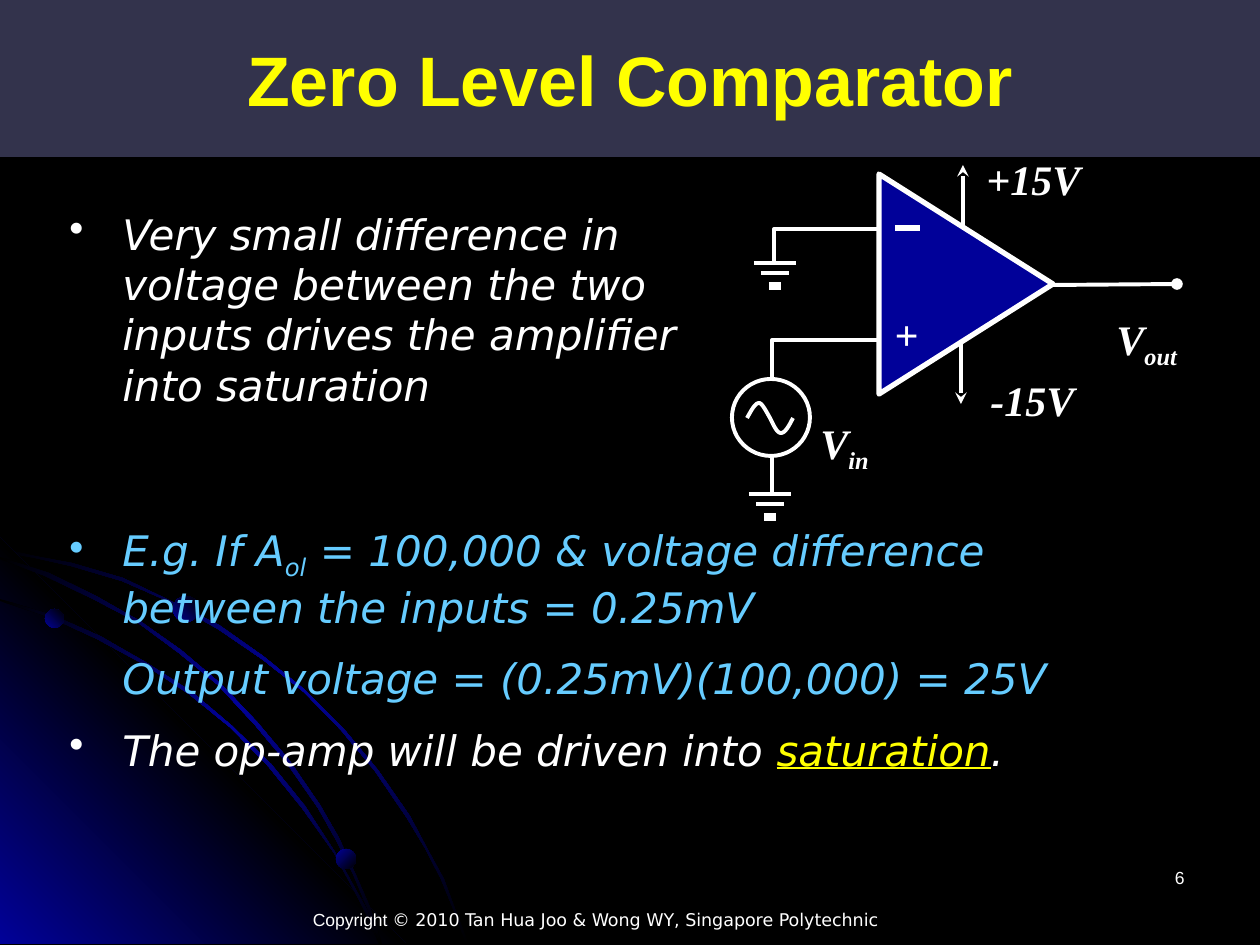
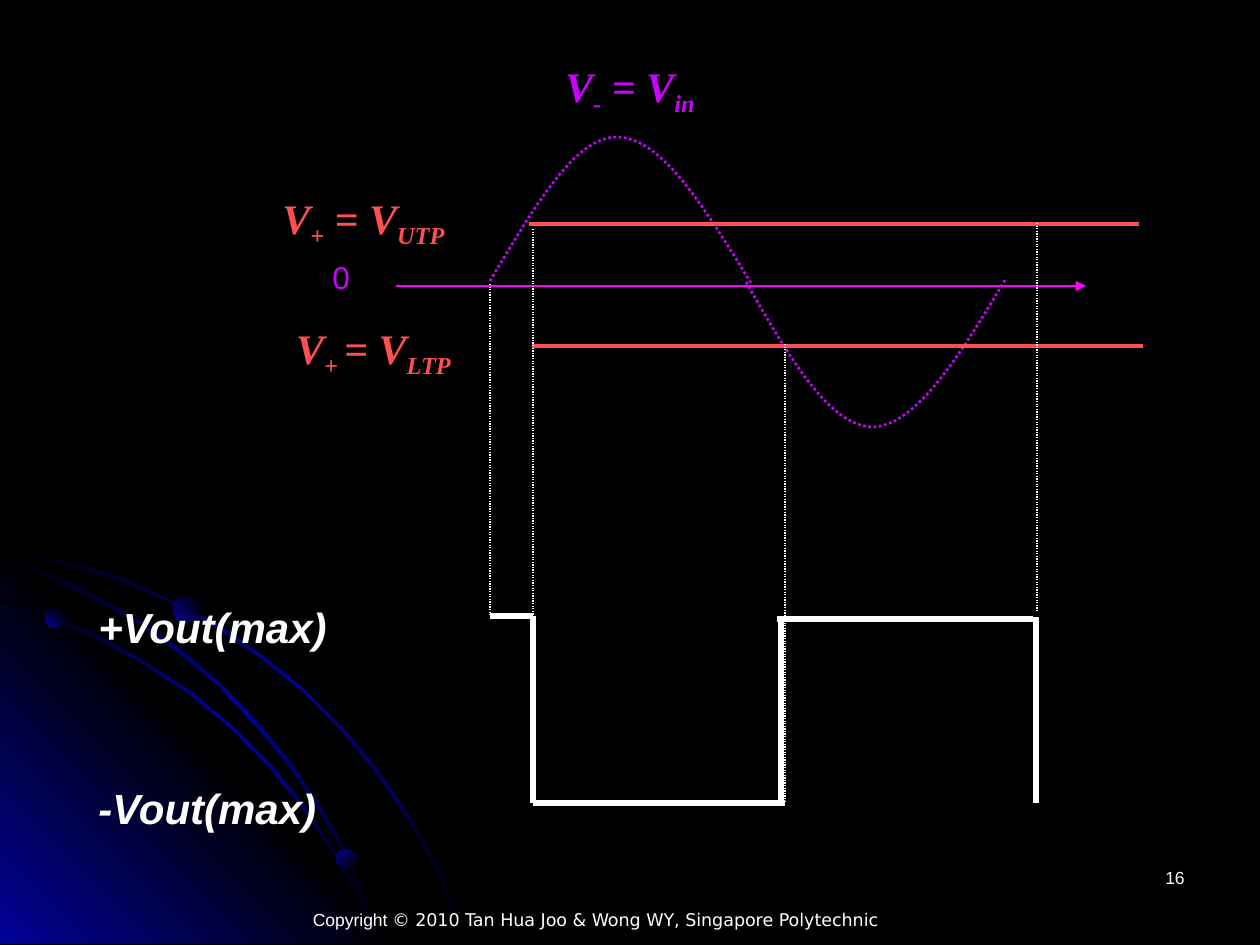
from dataclasses import dataclass, replace
from typing import Optional

from lxml.etree import SubElement
from pptx import Presentation
from pptx.dml.color import RGBColor as RGB
from pptx.enum.dml import MSO_LINE
from pptx.enum.shapes import MSO_CONNECTOR, MSO_SHAPE
from pptx.enum.text import MSO_ANCHOR, MSO_AUTO_SIZE, PP_ALIGN as ALIGN
from pptx.oxml.ns import qn
from pptx.util import Emu, Pt

EMU_PER_PX = 914400 / 126
COLORS = {
    "black": "000000", "white": "FFFFFF", "navy": "010199", "band": "33334C",
    "yellow": "FFFF00", "sky": "66CCFF", "violet": "CC00FF",
    "magenta": "FF00FF", "coral": "FF5050",
}
BULLET_INDENT = 53


@dataclass(frozen=True)
class Style:
    font: str
    size: int
    color: str = "white"
    bold: bool = False
    italic: bool = False
    underline: bool = False
    sub: bool = False


@dataclass(frozen=True)
class Run:
    text: str
    style: Style


@dataclass(frozen=True)
class Para:
    runs: tuple[Run, ...]
    align: ALIGN = ALIGN.LEFT
    bullet: Optional[str] = None
    indented: bool = False
    before: int = 0


@dataclass(frozen=True)
class Label:
    box: tuple[int, int, int, int]
    paras: tuple[Para, ...]
    fill: Optional[str] = None


@dataclass(frozen=True)
class Line:
    start: tuple[int, int]
    end: tuple[int, int]
    color: str = "white"
    weight: float = 2.25
    dotted: bool = False
    tail: Optional[str] = None


@dataclass(frozen=True)
class Glow:
    angle: int
    stops: tuple[str, ...]


TITLE = Style("Arial", 40, "yellow", bold=True)
SMALL = Style("Arial", 10)
BODY = Style("DejaVu Sans", 24, italic=True)
SYMBOL = Style("Times New Roman", 24, bold=True, italic=True)
LEVEL = Style("Arial", 24, bold=True, italic=True)

STREAK = Glow(45, ("black", "navy", "black"))
CORNER = Glow(315, ("navy", "black", "navy"))
OUTER_ARC = [
    (72, 563), (35, 556), (0, 548), (0, 552), (35, 558), (71, 566), (122, 581), (170, 602),
    (218, 629), (262, 659), (304, 692), (341, 730), (375, 771), (407, 818), (425, 848),
    (441, 879), (454, 911), (466, 944), (469, 944), (456, 911), (444, 879), (427, 848),
    (410, 816), (378, 770), (343, 728), (305, 690), (263, 656), (219, 625), (171, 601), (123, 578),
]
CORNER_TRIANGLE = [(406, 944), (0, 944), (0, 538)]
INNER_ARC = [
    (359, 900), (370, 922), (379, 944), (382, 944), (373, 920), (360, 897), (335, 852),
    (305, 806), (271, 764), (232, 726), (192, 692), (147, 663), (100, 636), (52, 615),
    (0, 599), (0, 601), (49, 617), (97, 639), (145, 665), (189, 694), (231, 728),
    (268, 766), (302, 808), (334, 853),
]
MIDDLE_ARC = [
    (0, 557), (0, 559), (45, 576), (93, 599), (137, 622), (179, 653), (218, 685), (255, 725),
    (286, 762), (318, 808), (336, 840), (353, 874), (368, 910), (379, 944), (382, 944),
    (370, 907), (355, 873), (339, 838), (320, 805), (289, 760), (257, 722), (221, 684),
    (181, 650), (140, 621), (96, 596), (49, 573),
]


def px(value: float) -> Emu:
    return Emu(round(value * EMU_PER_PX))


def rgb(name: str) -> RGB:
    return RGB.from_string(COLORS[name])


def paint(s, fill: Optional[str] = None, line: Optional[str] = None, weight: float = 2.25) -> None:
    s.shadow.inherit = False
    if fill:
        s.fill.solid()
        s.fill.fore_color.rgb = rgb(fill)
    else:
        s.fill.background()
    if line:
        s.line.color.rgb = rgb(line)
        s.line.width = Pt(weight)
    else:
        s.line.fill.background()


def paint_glow(s, glow: Glow) -> None:
    paint(s)
    s.fill.gradient()
    s.fill.gradient_angle = 360 - glow.angle
    stops = s.element.spPr.find(".//" + qn("a:gsLst"))
    for old in list(stops):
        stops.remove(old)
    for i, name in enumerate(glow.stops):
        gs = SubElement(stops, qn("a:gs"), pos=str(100000 * i // (len(glow.stops) - 1)))
        SubElement(gs, qn("a:srgbClr"), val=COLORS[name])


def write(tf, paras: tuple[Para, ...]) -> None:
    tf.word_wrap = True
    tf.text = "\n".join(para.runs[0].text for para in paras)
    for p, para in zip(tf.paragraphs, paras):
        p.alignment = para.align
        p.space_before = Pt(para.before)
        if para.indented:
            pPr = p._p.get_or_add_pPr()
            pPr.set("marL", str(px(BULLET_INDENT)))
            pPr.set("indent", str(-px(BULLET_INDENT) if para.bullet else 0))
            if para.bullet:
                SubElement(pPr, qn("a:buChar"), char=para.bullet)
        for run in para.runs[1:]:
            p.add_run().text = run.text
        for r, run in zip(p.runs, para.runs):
            style = run.style
            r.font.name, r.font.size = style.font, Pt(style.size)
            r.font.bold, r.font.italic = style.bold, style.italic
            r.font.underline = style.underline
            r.font.color.rgb = rgb(style.color)
            if style.sub:
                r._r.get_or_add_rPr().set("baseline", "-25000")


def draw_label(slide, label: Label) -> None:
    s = slide.shapes.add_textbox(*map(px, label.box))
    if label.fill:
        s.fill.solid()
        s.fill.fore_color.rgb = rgb(label.fill)
    write(s.text_frame, label.paras)


def draw_line(slide, line: Line) -> None:
    s = slide.shapes.add_connector(MSO_CONNECTOR.STRAIGHT, *map(px, line.start + line.end))
    s.line.color.rgb = rgb(line.color)
    s.line.width = Pt(line.weight)
    if line.dotted:
        s.line.dash_style = MSO_LINE.ROUND_DOT
    if line.tail:
        SubElement(s.line._get_or_add_ln(), qn("a:tailEnd"), type=line.tail)
    SubElement(s.element.spPr, qn("a:effectLst"))


def draw_path(slide, points: list, close: bool = False):
    (x, y), *rest = [(px(x), px(y)) for x, y in points]
    builder = slide.shapes.build_freeform(x, y)
    builder.add_line_segments(rest, close=close)
    return builder.convert_to_shape()


def curve(points: list, steps: int = 24) -> list:
    path = [points[0]]
    for k in range(0, len(points) - 1, 3):
        for t in (i / steps for i in range(1, steps + 1)):
            weights = ((1 - t) ** 3, 3 * t * (1 - t) ** 2, 3 * t * t * (1 - t), t ** 3)
            path.append(tuple(sum(w * pt[axis] for w, pt in zip(weights, points[k:k + 4]))
                              for axis in (0, 1)))
    return path


def draw_shape(slide, kind: MSO_SHAPE, box: tuple[int, int, int, int]):
    return slide.shapes.add_shape(kind, *map(px, box))


def symbol(box, name: str, sub: str = "", fill: Optional[str] = "black") -> Label:
    runs = (Run(name, SYMBOL),) + ((Run(sub, replace(SYMBOL, sub=True)),) if sub else ())
    return Label(box, (Para(runs),), fill)


def equation(box, color: str, *parts: str) -> Label:
    style = replace(SYMBOL, color=color)
    runs = tuple(Run(part, replace(style, sub=i % 2 == 1)) for i, part in enumerate(parts))
    return Label(box, (Para(runs, ALIGN.CENTER),))


def draw_number(slide, number: str) -> None:
    draw_label(slide, Label((903, 861, 294, 63), (Para((Run(number, SMALL),), ALIGN.RIGHT),)))


def build_master(prs, slide) -> None:
    master = prs.slide_master
    master.background.fill.solid()
    master.background.fill.fore_color.rgb = rgb("black")
    kept = {s.shape_id for s in slide.shapes}
    for points, glow in ((OUTER_ARC, STREAK), (CORNER_TRIANGLE, CORNER),
                         (INNER_ARC, STREAK), (MIDDLE_ARC, STREAK)):
        paint_glow(draw_path(slide, points, close=True), glow)
    for x, y, size, angle in ((45, 609, 19, 315), (336, 849, 20, 45), (173, 596, 26, 315)):
        dot = draw_shape(slide, MSO_SHAPE.OVAL, (x, y, size, size))
        paint_glow(dot, Glow(angle, ("navy", "black")))
    notice = (Run("Copyright ", SMALL),
              Run("© 2010 Tan Hua Joo & Wong WY, Singapore Polytechnic",
                  replace(SMALL, font="DejaVu Sans")))
    draw_label(slide, Label((218, 903, 755, 42), (Para(notice, ALIGN.CENTER),)))
    for s in [s for s in slide.shapes if s.shape_id not in kept]:
        s.element.nvSpPr.cNvPr.id = 100 + s.shape_id
        master.shapes.element.append(s.element)


def draw_ground(slide, x: int, y: int) -> None:
    for half, drop, weight in ((21, 0, 2.25), (14, 10, 2.25), (6, 23, 4.5)):
        draw_line(slide, Line((x - half, y + drop), (x + half, y + drop), weight=weight))


def draw_circuit(slide) -> None:
    paint(draw_shape(slide, MSO_SHAPE.RECTANGLE, (693, 121, 541, 442)), "black")
    draw_line(slide, Line((1051, 285), (1177, 284), tail="oval"))
    amp = draw_shape(slide, MSO_SHAPE.ISOSCELES_TRIANGLE, (856, 197, 220, 174))
    amp.rotation = 90
    paint(amp, "navy", "white", 3)
    for line in (Line((895, 228), (920, 228), weight=3),
                 Line((963, 228), (963, 165), tail="stealth"),
                 Line((961, 341), (961, 404), tail="stealth")):
        draw_line(slide, line)
    for label in (symbol((882, 302, 49, 63), "+", fill=None),
                  symbol((808, 411, 97, 63), "V", "in"),
                  symbol((978, 368, 113, 63), "-15V"),
                  symbol((974, 147, 129, 63), "+15V"),
                  symbol((1104, 307, 92, 63), "V", "out")):
        draw_label(slide, label)
    for wire in ([(878, 340), (772, 340), (772, 383)], [(878, 229), (774, 229), (774, 265)]):
        paint(draw_path(slide, wire), line="white")
    paint(draw_shape(slide, MSO_SHAPE.OVAL, (732, 379, 78, 77)), "black", "white")
    wave = [(747, 418), (751, 411), (755, 403), (759, 403), (762, 403), (766, 411), (770, 418),
            (774, 426), (777, 433), (781, 433), (785, 433), (789, 426), (793, 418)]
    paint(draw_path(slide, curve(wave)), line="white")
    draw_line(slide, Line((772, 457), (772, 495)))
    draw_ground(slide, 770, 494)
    draw_ground(slide, 775, 263)


def build_comparator(slide) -> None:
    draw_circuit(slide)
    sky = replace(BODY, color="sky")
    intro = Run("Very small difference in voltage between the two inputs drives "
                "the amplifier into saturation", BODY)
    draw_label(slide, Label((57, 202, 644, 217), (Para((intro,), bullet="•", indented=True),)))
    example = (Run("E.g. If A", sky), Run("ol", replace(sky, sub=True)),
               Run(" = 100,000 & voltage difference between the inputs = 0.25mV", sky))
    result = (Run("Output voltage = (0.25mV)(100,000) = 25V", sky),)
    verdict = (Run("The op-amp will be driven into ", BODY),
               Run("saturation", replace(BODY, color="yellow", underline=True)), Run(".", BODY))
    draw_label(slide, Label((57, 518, 1120, 267), (
        Para(example, bullet="•", indented=True),
        Para(result, indented=True, before=12),
        Para(verdict, bullet="•", indented=True, before=12))))
    title = slide.shapes.title
    title.left, title.top, title.width, title.height = map(px, (0, 0, 1260, 157))
    paint_title = title.fill
    paint_title.solid()
    paint_title.fore_color.rgb = rgb("band")
    tf = title.text_frame
    write(tf, (Para((Run("Zero Level Comparator", TITLE),), ALIGN.CENTER),))
    tf.vertical_anchor = MSO_ANCHOR.MIDDLE
    tf.auto_size = MSO_AUTO_SIZE.NONE
    slide.shapes.element.append(title.element)
    draw_number(slide, "6")


def build_waveforms(slide) -> None:
    draw_label(slide, equation((537, 54, 186, 63), "violet", "V", "-", " = V", "in"))
    for half_wave in (
            [(490, 281), (533, 209), (575, 136), (617, 137), (662, 137), (706, 210), (751, 283)],
            [(746, 282), (788, 355), (829, 427), (873, 427), (916, 426), (961, 354), (1005, 280)]):
        s = draw_path(slide, curve(half_wave))
        paint(s, line="violet", weight=1.5)
        s.line.dash_style = MSO_LINE.ROUND_DOT
    draw_line(slide, Line((396, 286), (1086, 286), "magenta", 1, tail="triangle"))
    for x, y, width in ((532, 346, 611), (529, 224, 610)):
        draw_line(slide, Line((x, y), (x + width, y), "coral"))
    for x, top, bottom in ((490, 284, 616), (533, 229, 616), (785, 344, 803), (1037, 223, 610)):
        draw_line(slide, Line((x, top), (x, bottom), weight=0.75, dotted=True))
    for start, end in (((490, 616), (533, 616)), ((533, 616), (533, 803)),
                       ((533, 803), (785, 803)), ((781, 616), (781, 801)),
                       ((777, 619), (1033, 619)), ((1036, 617), (1036, 803))):
        draw_line(slide, Line(start, end, weight=3))
    draw_label(slide, equation((208, 316, 331, 63), "coral", "V", "+ ", "= V", "LTP"))
    draw_label(slide, equation((192, 186, 343, 63), "coral", "V", "+", " = V", "UTP"))
    zero = Run("0", Style("Arial", 18, "violet"))
    draw_label(slide, Label((320, 252, 132, 50), (Para((zero,)),)))
    for sign, y in (("+", 595), ("-", 776)):
        level = Run(f"{sign}Vout(max)", LEVEL)
        draw_label(slide, Label((86, y, 374, 63), (Para((level,)),)))
    draw_number(slide, "16")


def main() -> None:
    prs = Presentation()
    prs.slide_width, prs.slide_height = px(1260), px(945)
    title_only, blank = prs.slide_layouts[5], prs.slide_layouts[6]
    comparator = prs.slides.add_slide(title_only)
    build_master(prs, comparator)
    build_comparator(comparator)
    build_waveforms(prs.slides.add_slide(blank))
    prs.save("out.pptx")


if __name__ == "__main__":
    main()
